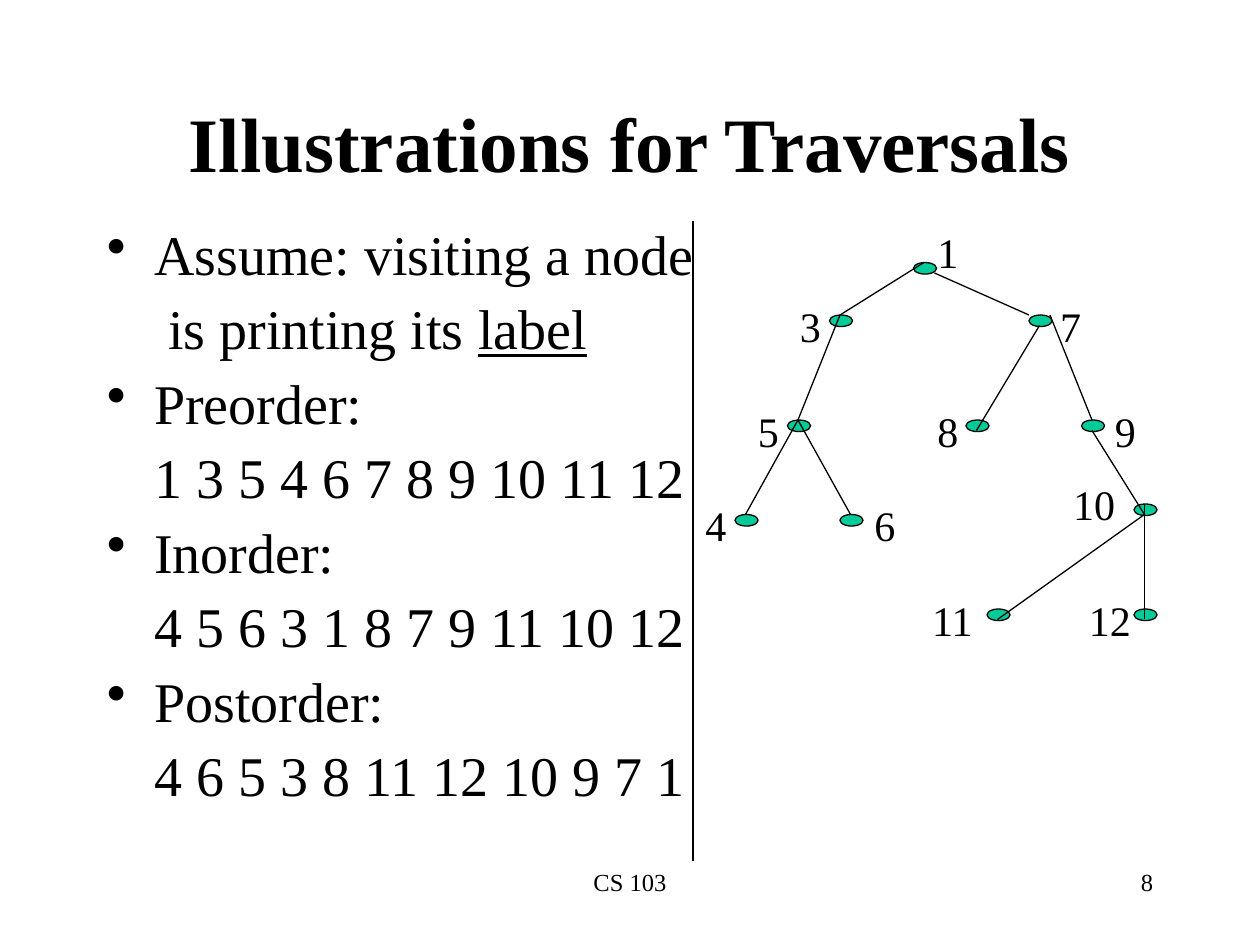
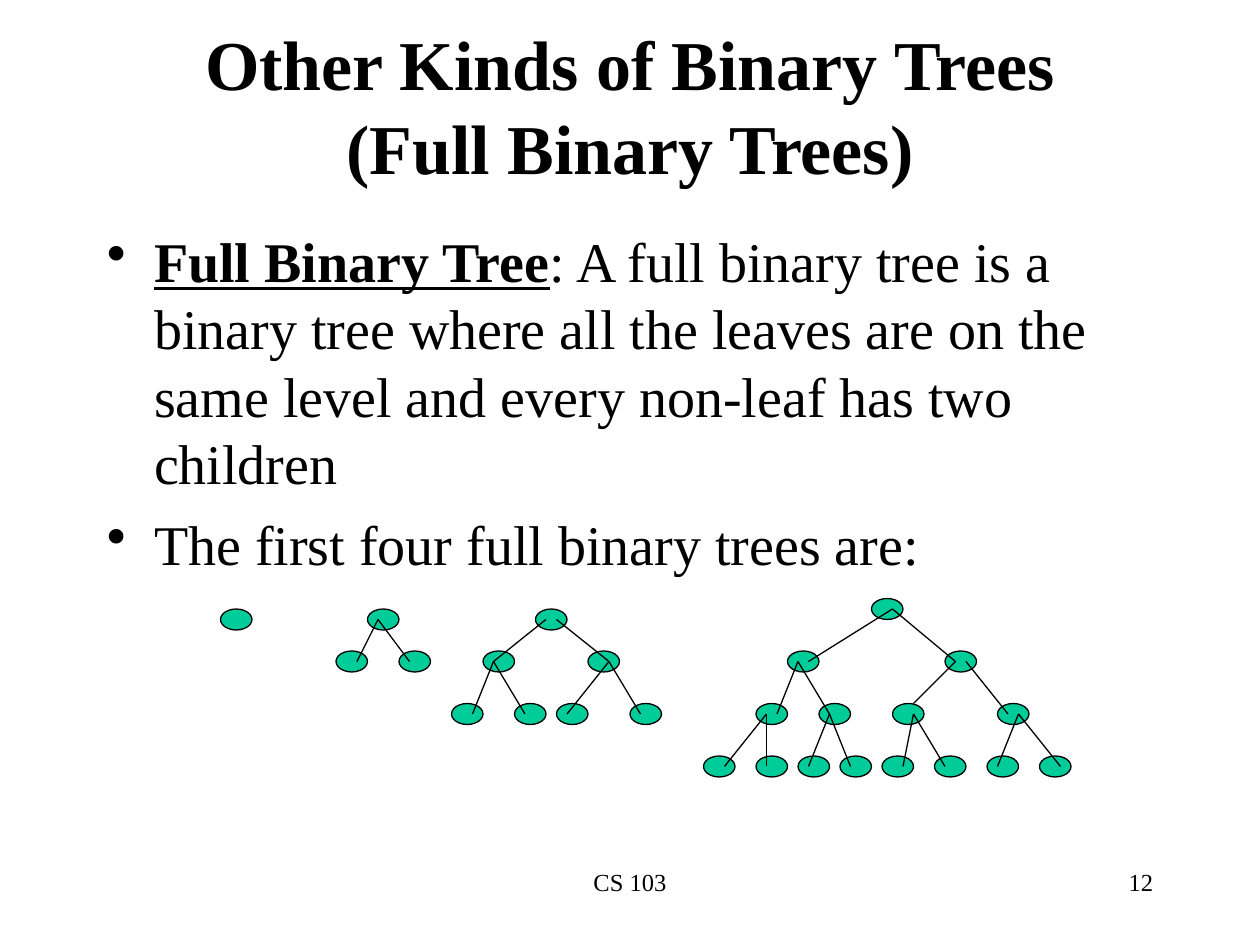
import pptx
import pptx.dml.color
import pptx.enum.shapes
import pptx.enum.text
import pptx.oxml.ns
import pptx.util
from lxml import etree

PX = pptx.util.Inches(1) // 120
SLIDE_W, SLIDE_H = 1200, 900
BLACK = pptx.dml.color.RGBColor(0x00, 0x00, 0x00)
GREEN = pptx.dml.color.RGBColor(0x00, 0xCC, 0x99)
FONT = "Times New Roman"
ALIGN = pptx.enum.text.PP_ALIGN
ANCHOR = pptx.enum.text.MSO_ANCHOR
SHAPE = pptx.enum.shapes.MSO_SHAPE
CONNECTOR = pptx.enum.shapes.MSO_CONNECTOR

BODY_BOX = (90, 210, 1020, 590)
COURSE_BOX = (410, 820, 380, 60)
NUMBER_BOX = (860, 820, 250, 60)
HANGING = 45

# Nodes are rows {top: lefts}; edges are {(y1, y2): {parent x: child xs}}.
LABELLED_NODES = {
    40: [210], 90: [130, 320], 190: [90, 260, 370], 270: [420],
    280: [40, 140], 370: [280, 420],
}
LABELLED_EDGES = {
    (40, 90): {220: [140]},
    (50, 90): {230: [320]},
    (90, 190): {140: [100], 340: [380]},
    (100, 200): {330: [270]},
    (190, 280): {100: [50, 150]},
    (200, 280): {380: [430]},
    (280, 380): {430: [290]},
    (270, 380): {430: [430]},
}
NODE_LABELS = {
    0: {1: 221},
    70: {3: 90, 7: 338},
    170: {5: 50, 8: 221, 9: 390},
    240: {10: 350},
    260: {4: 0, 6: 161},
    350: {11: 215, 12: 365},
}
FULL_NODES = {
    0: [620],
    10: [0, 140, 300],
    50: [110, 170, 250, 350, 540, 690],
    100: [220, 280, 320, 390, 510, 570, 640, 740],
    150: [460, 510, 550, 590, 630, 680, 730, 780],
}
FULL_EDGES = {
    (10, 60): {640: [560, 700]},
    (20, 60): {150: [130, 180], 310: [260], 320: [370]},
    (60, 100): {700: [660]},
    (60, 110): {260: [240, 290], 370: [330, 400], 550: [530, 580], 710: [750]},
    (110, 160): {520: [480, 520], 580: [560, 600], 660: [650, 690],
                 760: [740, 800]},
}


def emu(*lengths):
    return [length * PX for length in lengths]


def add_run(p, text, size, **fmt):
    r = p.add_run()
    r.text = text
    r.font.color.rgb = BLACK
    for key, value in {"name": FONT, "size": pptx.util.Pt(size), **fmt}.items():
        setattr(r.font, key, value)


def add_text_frame(shapes, box, wrap=True, anchor=ANCHOR.TOP):
    tf = shapes.add_textbox(*emu(*box)).text_frame
    tf.word_wrap = wrap
    tf.vertical_anchor = anchor
    return tf


def add_label(shapes, box, text, size, align, wrap=True):
    p = add_text_frame(shapes, box, wrap).paragraphs[0]
    p.alignment = align
    add_run(p, text, size)


def add_title(s, box, lines, size):
    p = add_text_frame(s.shapes, box, anchor=ANCHOR.MIDDLE).paragraphs[0]
    p.alignment = ALIGN.CENTER
    for i, line in enumerate(lines):
        if i:
            p.add_line_break()
        add_run(p, line, size, bold=True)


def set_indent(p, bulleted):
    pPr = p._p.get_or_add_pPr()
    pPr.set("marL", str(HANGING * PX))
    pPr.set("indent", str(-HANGING * PX if bulleted else 0))
    if bulleted:
        etree.SubElement(pPr, pptx.oxml.ns.qn("a:buChar"), char="•")
    else:
        etree.SubElement(pPr, pptx.oxml.ns.qn("a:buNone"))


def add_body(s, paragraphs, line_spacing):
    """Each paragraph is (bulleted, [(text, format), ...])."""
    tf = add_text_frame(s.shapes, BODY_BOX)
    for i, (bulleted, runs) in enumerate(paragraphs):
        p = tf.add_paragraph() if i else tf.paragraphs[0]
        set_indent(p, bulleted)
        p.line_spacing = line_spacing
        if i:
            p.space_before = pptx.util.Pt(8)
        for text, fmt in runs:
            add_run(p, text, 32, **fmt)


def add_line(shapes, x1, y1, x2, y2):
    line = shapes.add_connector(CONNECTOR.STRAIGHT, *emu(x1, y1, x2, y2))
    line.line.color.rgb = BLACK
    line.line.width = pptx.util.Pt(0.75)
    etree.SubElement(line._element.spPr, pptx.oxml.ns.qn("a:effectLst"))


def add_tree(s, left, top, nodes, edges, node_w, node_h):
    """Draw nodes and then edges in one group, and return its shapes."""
    shapes = s.shapes.add_group_shape().shapes
    for y, xs in nodes.items():
        for x in xs:
            sp = shapes.add_shape(SHAPE.OVAL, *emu(left + x, top + y, node_w, node_h))
            sp.shadow.inherit = False
            sp.fill.solid()
            sp.fill.fore_color.rgb = GREEN
            sp.line.color.rgb = BLACK
            sp.line.width = pptx.util.Pt(0.75)
    for (y1, y2), fans in edges.items():
        for x1, children in fans.items():
            for x2 in children:
                add_line(shapes, left + x1, top + y1, left + x2, top + y2)
    return shapes


def add_labelled_tree(s, left, top):
    shapes = add_tree(s, left, top, LABELLED_NODES, LABELLED_EDGES, 22, 11)
    for y, row in NODE_LABELS.items():
        for label, x in row.items():
            width = 43 if label < 10 else 64
            add_label(shapes, (left + x, top + y, width, 60), str(label), 24,
                      ALIGN.CENTER, wrap=False)


def add_slide(prs, number):
    s = prs.slides.add_slide(prs.slide_layouts[6])
    add_label(s.shapes, COURSE_BOX, "CS 103", 14, ALIGN.CENTER)
    add_label(s.shapes, NUMBER_BOX, str(number), 14, ALIGN.RIGHT)
    return s


def build_traversals(prs):
    s = add_slide(prs, 8)
    add_title(s, (90, 80, 1020, 110), ["Illustrations for Traversals"], 44)
    paragraphs = [
        (True, [("Assume: visiting a node", {})]),
        (False, [(" is printing its ", {}), ("label", {"underline": True})]),
    ]
    for order, labels in {
        "Preorder:": "1 3 5 4 6 7 8 9 10 11 12",
        "Inorder:": "4 5 6 3 1 8 7 9 11 10 12",
        "Postorder:": "4 6 5 3 8 11 12 10 9 7 1",
    }.items():
        paragraphs += [(True, [(order, {})]), (False, [(labels, {})])]
    add_body(s, paragraphs, 0.9)
    add_labelled_tree(s, 660, 210)
    add_line(s.shapes, 660, 210, 660, 820)


def build_full_trees(prs):
    s = add_slide(prs, 12)
    add_title(s, (90, 40, 1020, 120),
              ["Other Kinds of Binary Trees", "(Full Binary Trees)"], 40)
    definition = (": A full binary tree is a binary tree where all the leaves "
                  "are on the same level and every non-leaf has two children")
    add_body(s, [
        (True, [("Full Binary Tree", {"bold": True, "underline": True}),
                (definition, {})]),
        (True, [("The first four full binary trees are:", {})]),
    ], 1.0)
    add_tree(s, 210, 570, FULL_NODES, FULL_EDGES, 30, 20)


def main():
    prs = pptx.Presentation()
    prs.slide_width, prs.slide_height = emu(SLIDE_W, SLIDE_H)
    build_traversals(prs)
    build_full_trees(prs)
    prs.save("out.pptx")


if __name__ == "__main__":
    main()
